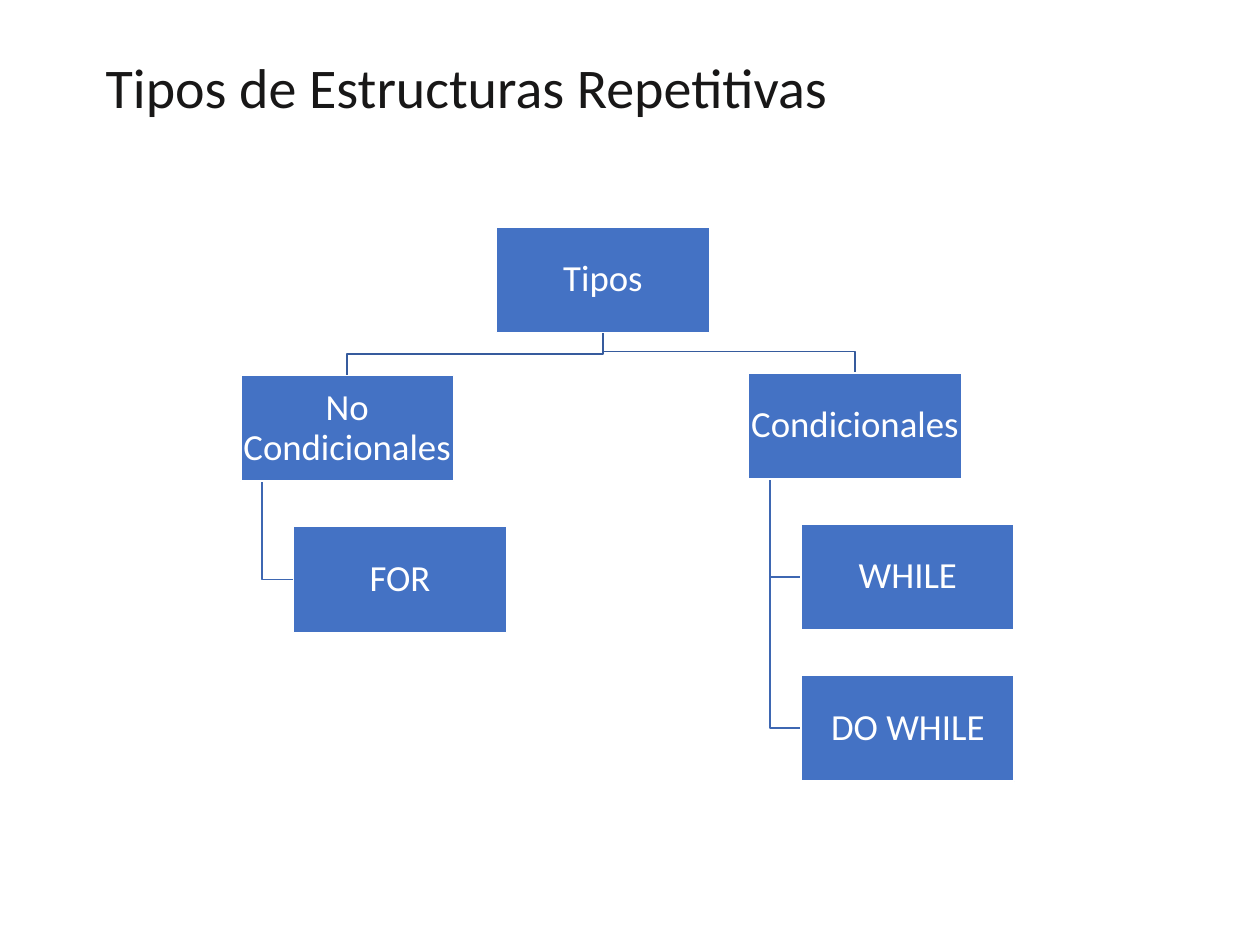
from dataclasses import dataclass

from pptx import Presentation
from pptx.dml.color import RGBColor
from pptx.enum import shapes, text
from pptx.util import Inches, Pt


@dataclass(frozen=True)
class Theme:
    font: str = "Calibri"
    title_size: int = 32
    node_size: int = 21
    title: str = "181717"
    node: str = "4472C4"
    node_text: str = "FFFFFF"
    branch_line: str = "365B9D"
    leaf_line: str = "3E67B2"


THEME = Theme()
NODE_W, NODE_H = 1.69, 0.84
LEAF_INDENT, LEAF_STEP = 0.42, 1.2
TRUNK_INDENT, BEND_RISE = 0.17, 0.17

ROOT = ("Tipos", 3.94, 1.8)
BRANCHES = [
    ("No Condicionales", 1.91, 2.98, ["FOR"]),
    ("Condicionales", 5.94, 2.96, ["WHILE", "DO WHILE"]),
]


def style_text(paragraph, size, color):
    paragraph.font.name = THEME.font
    paragraph.font.size = Pt(size)
    paragraph.font.color.rgb = RGBColor.from_string(color)


def add_title(slide, left, top, width, height, wording):
    frame = slide.shapes.add_textbox(
        Inches(left), Inches(top), Inches(width), Inches(height)).text_frame
    frame.word_wrap = False
    frame.auto_size = text.MSO_AUTO_SIZE.SHAPE_TO_FIT_TEXT
    frame.text = wording
    style_text(frame.paragraphs[0], THEME.title_size, THEME.title)


def add_elbow(slide, points, color):
    """Draw an open right-angled line through the points, in inches."""
    start, *rest = [(Inches(x), Inches(y)) for x, y in points]
    builder = slide.shapes.build_freeform(*start)
    builder.add_line_segments(rest, close=False)
    elbow = builder.convert_to_shape()
    elbow.shadow.inherit = False
    elbow.fill.background()
    elbow.line.color.rgb = RGBColor.from_string(color)
    elbow.line.width = Pt(1)


def add_node(slide, label, left, top):
    node = slide.shapes.add_shape(
        shapes.MSO_SHAPE.RECTANGLE,
        Inches(left), Inches(top), Inches(NODE_W), Inches(NODE_H))
    node.shadow.inherit = False
    node.fill.solid()
    node.fill.fore_color.rgb = RGBColor.from_string(THEME.node)
    node.line.color.rgb = RGBColor.from_string(THEME.node_text)
    node.line.width = Pt(1)
    frame = node.text_frame
    frame.word_wrap = True
    frame.vertical_anchor = text.MSO_ANCHOR.MIDDLE
    frame.margin_left = frame.margin_right = Inches(0.01)
    frame.margin_top = frame.margin_bottom = Inches(0.01)
    frame.text = label
    paragraph = frame.paragraphs[0]
    paragraph.alignment = text.PP_ALIGN.CENTER
    paragraph.line_spacing = 0.9
    style_text(paragraph, THEME.node_size, THEME.node_text)


def add_branch(slide, left, top, label, leaves, root_foot):
    """Place a branch with its leaves below, joined to the foot of the root."""
    root_x, root_y = root_foot
    center, bend = left + NODE_W / 2, top - BEND_RISE
    add_elbow(slide, [(root_x, root_y), (root_x, bend), (center, bend), (center, top)],
              THEME.branch_line)

    trunk, leaf_left = left + TRUNK_INDENT, left + LEAF_INDENT
    leaf_tops = [top + LEAF_STEP * (i + 1) for i in range(len(leaves))]
    for leaf_top in leaf_tops:
        middle = leaf_top + NODE_H / 2
        add_elbow(slide, [(trunk, top + NODE_H), (trunk, middle), (leaf_left, middle)],
                  THEME.leaf_line)

    add_node(slide, label, left, top)
    for leaf, leaf_top in zip(leaves, leaf_tops):
        add_node(slide, leaf, leaf_left, leaf_top)


def add_tree(slide):
    label, left, top = ROOT
    root_foot = (left + NODE_W / 2, top + NODE_H)
    for branch, branch_left, branch_top, leaves in BRANCHES:
        add_branch(slide, branch_left, branch_top, branch, leaves, root_foot)
    add_node(slide, label, left, top)


def main():
    deck = Presentation()
    deck.slide_width, deck.slide_height = Inches(10), Inches(7.5)
    slide = deck.slides.add_slide(deck.slide_layouts[6])
    add_title(slide, 0.74, 0.37, 6.12, 0.64, "Tipos de Estructuras Repetitivas")
    add_tree(slide)
    deck.save("out.pptx")


if __name__ == "__main__":
    main()
